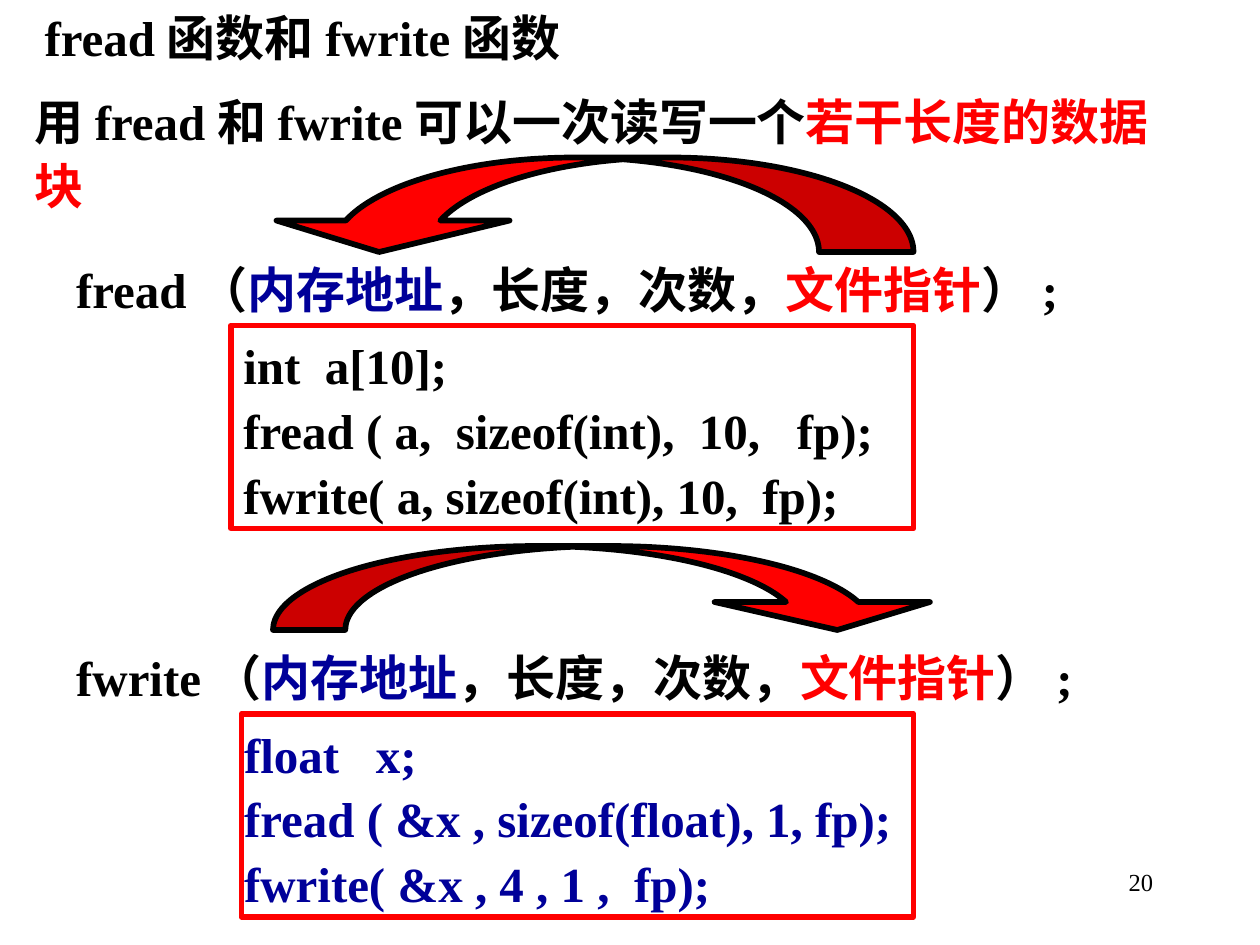
from dataclasses import dataclass
from lxml.etree import SubElement
from pptx import Presentation
from pptx.dml.color import RGBColor
from pptx.enum.shapes import MSO_SHAPE
from pptx.enum.text import MSO_ANCHOR, MSO_AUTO_SIZE, PP_ALIGN
from pptx.oxml.ns import qn
from pptx.util import Pt


@dataclass(frozen=True)
class Theme:
    font: str = "Times New Roman"
    black: RGBColor = RGBColor(0, 0, 0)
    red: RGBColor = RGBColor(0xFF, 0, 0)
    blue: RGBColor = RGBColor(0, 0, 0x99)
    text: int = 28
    small: int = 14
    line: float = 3.25
    pad: float = 1.5


THEME = Theme()


def place(shape, left, top, width, height):
    shape.left, shape.top = Pt(left), Pt(top)
    shape.width, shape.height = Pt(width), Pt(height)


def style(para, size=THEME.text, bold=True, color=THEME.black):
    font = para.font
    font.name, font.size, font.bold = THEME.font, Pt(size), bold
    font.color.rgb = color


def write(shape, lines, color=THEME.black, pad=THEME.pad, anchor=MSO_ANCHOR.TOP):
    frame = shape.text_frame
    frame.word_wrap = True
    frame.auto_size = MSO_AUTO_SIZE.SHAPE_TO_FIT_TEXT
    frame.vertical_anchor = anchor
    frame.margin_left = frame.margin_right = Pt(pad)
    frame.margin_top = frame.margin_bottom = Pt(0.75)
    for i, line in enumerate(lines):
        para = frame.add_paragraph() if i else frame.paragraphs[0]
        para.alignment = PP_ALIGN.LEFT
        para.line_spacing = 1.1
        para.space_before = Pt(0)
        props = para._p.get_or_add_pPr()
        props.set("marL", "0")
        props.set("indent", "0")
        SubElement(props, qn("a:buNone"))
        style(para, color=color)
        for text, tint in line:
            run = para.add_run()
            run.text = text
            if tint is not None:
                run.font.color.rgb = tint


def add_call(slide, name, top):
    box = slide.shapes.add_textbox(Pt(42), Pt(top), Pt(636), Pt(39))
    write(box, [[
        (name + "（", None), ("内存地址", THEME.blue), ("，长度，次数，", None),
        ("文件指针", THEME.red), ("）;", None),
    ]])


def add_shape(slide, kind, area, edge):
    shape = slide.shapes.add_shape(kind, *map(Pt, area))
    shape.shadow.inherit = False
    shape.line.color.rgb = edge
    shape.line.width = Pt(THEME.line)
    return shape


def add_arrow(slide, kind, area, bends, turn=0):
    arrow = add_shape(slide, kind, area, THEME.black)
    arrow.fill.solid()
    arrow.fill.fore_color.rgb = THEME.red
    arrow.rotation = turn
    for i, bend in enumerate(bends):
        arrow.adjustments[i] = bend


def add_code(slide, area, lines, color, pad):
    box = add_shape(slide, MSO_SHAPE.RECTANGLE, area, THEME.red)
    box.fill.background()
    write(box, [[(line, None)] for line in lines], color, pad, MSO_ANCHOR.MIDDLE)


def add_number(slide, text):
    box = slide.shapes.add_textbox(Pt(516), Pt(492), Pt(150), Pt(36))
    box.text_frame.word_wrap = True
    para = box.text_frame.paragraphs[0]
    para.text = text
    para.alignment = PP_ALIGN.RIGHT
    style(para, THEME.small, False)


def main():
    deck = Presentation()
    deck.slide_width, deck.slide_height = Pt(720), Pt(540)
    slide = deck.slides.add_slide(deck.slide_layouts[1])
    title, body = slide.placeholders

    place(title, 24, 0, 618, 39)
    write(title, [[("fread函数和fwrite函数", None)]])
    place(body, 18, 48, 654, 39)
    write(body, [[
        ("用fread和fwrite可以一次读写一个", None),
        ("若干长度的数据块", THEME.red),
    ]])

    add_call(slide, "fread", 144)
    add_arrow(slide, MSO_SHAPE.CURVED_UP_ARROW, (150, 90, 372, 54),
              (1.461, 2.467, 0.333), 180)
    add_call(slide, "fwrite", 366)
    add_arrow(slide, MSO_SHAPE.CURVED_DOWN_ARROW, (156, 312, 384, 48),
              (0.861, 2.564, 0.333))

    add_code(slide, (132, 186, 390, 116), [
        "int  a[10];",
        "fread ( a,  sizeof(int),  10,   fp);",
        "fwrite( a, sizeof(int), 10,  fp);",
    ], THEME.black, 7.2)
    add_code(slide, (138, 408, 384, 116), [
        "float   x;",
        "fread ( &x , sizeof(float), 1, fp);",
        "fwrite( &x , 4 , 1 ,  fp);",
    ], THEME.blue, THEME.pad)
    add_number(slide, "20")
    deck.save("out.pptx")


if __name__ == "__main__":
    main()
